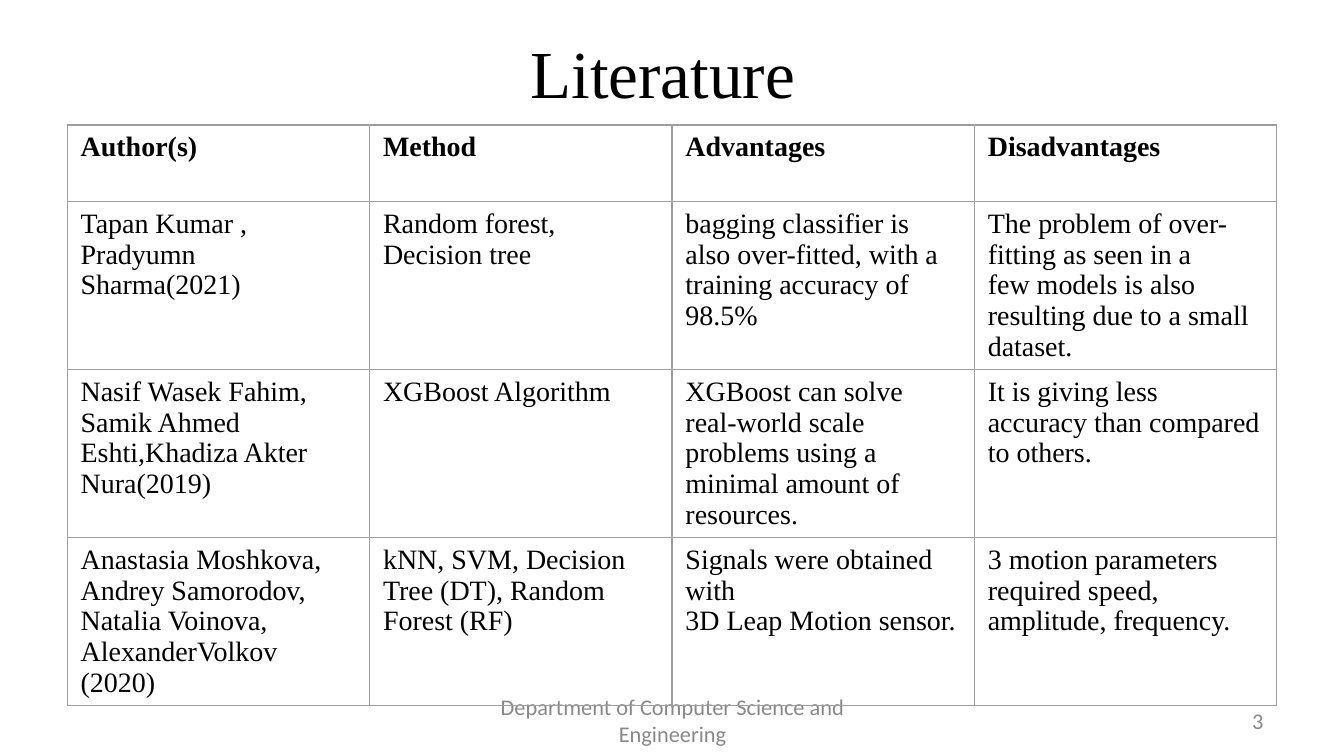
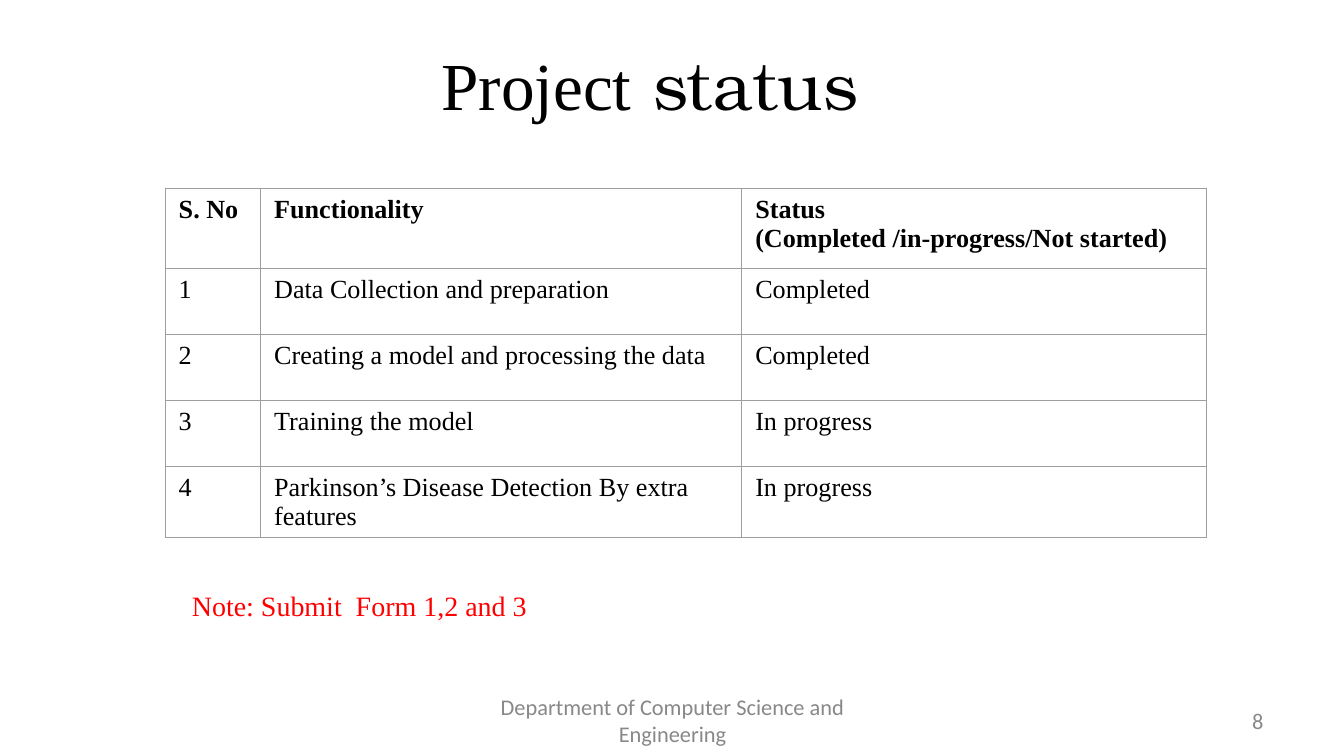
from lxml import etree
from pptx import Presentation
from pptx.dml.color import RGBColor
from pptx.enum.text import MSO_ANCHOR, MSO_AUTO_SIZE, PP_ALIGN
from pptx.oxml.ns import qn
from pptx.util import Inches, Pt

LEFT, MID, RIGHT = PP_ALIGN.LEFT, PP_ALIGN.CENTER, PP_ALIGN.RIGHT
TOP, CENTER = MSO_ANCHOR.TOP, MSO_ANCHOR.MIDDLE
FIXED, GROW = MSO_AUTO_SIZE.NONE, MSO_AUTO_SIZE.SHAPE_TO_FIT_TEXT
BLACK = RGBColor(0, 0, 0)
WHITE = RGBColor(255, 255, 255)
GRAY = RGBColor(0x88, 0x88, 0x88)
RULE = RGBColor(0x9E, 0x9E, 0x9E)
RED = RGBColor(255, 0, 0)
SERIF, SANS, BONUM = "Times New Roman", "Calibri", "TeX Gyre Bonum"
DEPT = "Department of Computer Science and Engineering"

PAPERS = [
    ["Author(s)", "Method", "Advantages", "Disadvantages"],
    ["Tapan Kumar , Pradyumn Sharma(2021)",
     "Random forest, Decision tree",
     "bagging classifier is\nalso over-fitted, with a training accuracy of 98.5%",
     "The problem of over-fitting as seen in a\n"
     "few models is also resulting due to a small dataset."],
    ["Nasif Wasek Fahim, Samik Ahmed Eshti,Khadiza Akter Nura(2019)",
     "XGBoost Algorithm",
     "XGBoost can solve real-world scale problems using a\n"
     "minimal amount of resources.",
     "It is giving less accuracy than compared to others."],
    ["Anastasia Moshkova, Andrey Samorodov,\n"
     "Natalia Voinova, AlexanderVolkov (2020)",
     "kNN, SVM, Decision Tree (DT), Random Forest (RF)",
     "Signals were obtained with\n3D Leap Motion sensor.",
     "3 motion parameters required speed, amplitude, frequency."],
]
TASKS = [
    ["S. No", "Functionality", "Status\n(Completed /in-progress/Not started)"],
    ["1", "Data Collection and preparation", "Completed"],
    ["2", "Creating a model and processing the data", "Completed"],
    ["3", "Training the model", "In progress"],
    ["4", "Parkinson’s Disease Detection By extra features", "In progress"],
]


def write(frame, text, size=15, font=SERIF, color=BLACK, bold=False,
          align=LEFT):
    for i, line in enumerate(text.split("\n")):
        para = frame.paragraphs[0] if i == 0 else frame.add_paragraph()
        para.alignment = align
        add_run(para, line, size, font, color, bold)


def add_run(para, text, size, font, color, bold=False):
    run = para.add_run()
    run.text = text
    run.font.size = Pt(size)
    run.font.name = font
    run.font.bold = bold
    run.font.color.rgb = color


def add_text(slide, box, text, anchor=CENTER, fit=FIXED, **style):
    frame = slide.shapes.add_textbox(*map(Inches, box)).text_frame
    frame.word_wrap = True
    frame.auto_size = fit
    frame.vertical_anchor = anchor
    write(frame, text, **style)


def add_title(slide, left, top, text):
    title = slide.shapes.title
    title.left, title.top = Inches(left), Inches(top)
    title.width, title.height = Inches(6.69), Inches(0.69)
    frame = title.text_frame
    frame.word_wrap = True
    frame.auto_size = FIXED
    frame.vertical_anchor = CENTER
    write(frame, text, size=36, align=MID)
    return frame.paragraphs[0]


def add_foot(slide, number):
    style = dict(size=12, font=SANS, color=GRAY)
    add_text(slide, (7.17, 5.21, 2.33, 0.3), number, align=RIGHT, **style)
    add_text(slide, (3.42, 5.21, 3.17, 0.3), DEPT, align=MID, **style)


def add_edges(cell):
    props = cell._tc.get_or_add_tcPr()
    for i, side in enumerate(("lnL", "lnR", "lnT", "lnB")):
        line = etree.Element(qn("a:" + side), w=str(Pt(0.75)))
        fill = etree.SubElement(line, qn("a:solidFill"))
        etree.SubElement(fill, qn("a:srgbClr"), val=str(RULE))
        props.insert(i, line)


def add_grid(slide, left, top, wide, high, rows, size):
    box = map(Inches, (left, top, sum(wide), sum(high)))
    table = slide.shapes.add_table(len(rows), len(wide), *box).table
    table.horz_banding = False
    for col, width in zip(table.columns, wide):
        col.width = Inches(width)
    for r, row in enumerate(rows):
        table.rows[r].height = Inches(high[r])
        for c, text in enumerate(row):
            cell = table.cell(r, c)
            cell.fill.background()
            cell.vertical_anchor = TOP
            write(cell.text_frame, text, size=size, bold=r == 0)
            add_edges(cell)


def add_slide(deck, number):
    slide = deck.slides.add_slide(deck.slide_layouts[5])
    slide.background.fill.solid()
    slide.background.fill.fore_color.rgb = WHITE
    add_foot(slide, number)
    return slide


def add_papers(deck):
    slide = add_slide(deck, "3")
    add_title(slide, 1.65, 0.19, "Literature ")
    add_grid(slide, 0.5, 0.93, [2.25] * 4, [0.57] * 4, PAPERS, 15)


def add_status(deck):
    slide = add_slide(deck, "8")
    head = add_title(slide, 1.49, 0.28, "Project")
    add_run(head, " status", 36, BONUM, BLACK)
    add_grid(slide, 1.23, 1.4, [0.71, 3.58, 3.46], [0.6] + [0.49] * 4,
             TASKS, 14)
    add_text(slide, (1.33, 4.33, 3.3, 0.35), "Note: Submit  Form 1,2 and 3",
             anchor=TOP, fit=GROW, color=RED)


def main():
    deck = Presentation()
    deck.slide_width = Inches(10)
    deck.slide_height = deck.slide_width * 9 // 16
    add_papers(deck)
    add_status(deck)
    deck.save("out.pptx")


if __name__ == "__main__":
    main()
